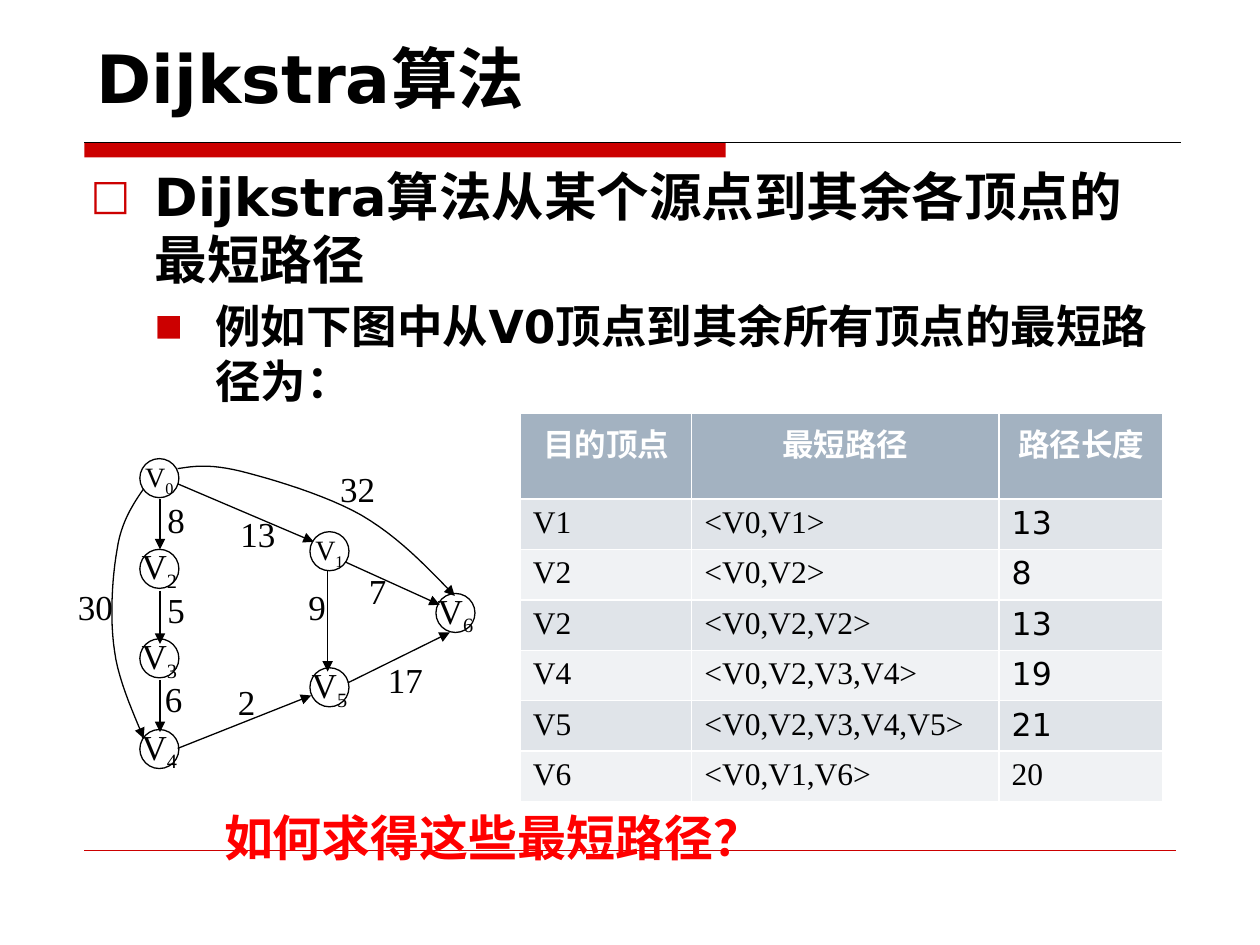
from dataclasses import dataclass, field

from lxml import etree
from pptx import Presentation
from pptx import util as u
from pptx.dml.color import RGBColor
from pptx.enum import shapes, text
from pptx.oxml import ns

COLORS = {
    "ink": "000000",
    "accent": "CC0000",
    "question": "FF0000",
    "white": "FFFFFF",
    "header": "A3B2C1",
    "odd": "E0E4E9",
    "even": "F0F2F4",
}
SANS, SERIF = "DejaVu Sans", "Times New Roman"
COLUMNS, ROWS = 100, 75


def color(name):
    return RGBColor.from_string(COLORS[name])


def add_element(parent, tag, **attributes):
    return etree.SubElement(parent, ns.qn(tag), attributes)


def bezier(start, *controls, steps=12):
    points = [start]
    for first in range(0, len(controls), 3):
        corners = (points[-1], *controls[first:first + 3])
        for step in range(1, steps + 1):
            t = step / steps
            weights = ((1 - t) ** 3, 3 * t * (1 - t) ** 2, 3 * t * t * (1 - t), t ** 3)
            points.append(tuple(sum(w * corner[axis] for w, corner in zip(weights, corners))
                                for axis in (0, 1)))
    return points


@dataclass
class SlideBuilder:
    presentation: object = field(default_factory=Presentation)
    slide: object = None

    def start(self):
        self.presentation.slide_width = u.Inches(10)
        self.presentation.slide_height = u.Inches(7.5)
        self.slide = self.presentation.slides.add_slide(self.presentation.slide_layouts[6])

    def x(self, columns):
        return round(self.presentation.slide_width * columns / COLUMNS)

    def y(self, rows):
        return round(self.presentation.slide_height * rows / ROWS)

    def box(self, left, top, width, height):
        return self.x(left), self.y(top), self.x(width), self.y(height)

    def style(self, paragraph, size, name=SANS, ink="ink", bold=False):
        font = paragraph.font
        font.size, font.name, font.bold = u.Pt(size), name, bold
        font.color.rgb = color(ink)

    def text_box(self, area, words, size, wrap=True, anchor=text.MSO_ANCHOR.TOP, **style):
        frame = self.slide.shapes.add_textbox(*self.box(*area)).text_frame
        frame.word_wrap, frame.vertical_anchor = wrap, anchor
        frame.text = words
        self.style(frame.paragraphs[0], size, **style)
        return frame

    def bullet(self, paragraph, mark, size, scale, margin, hang):
        properties = paragraph._p.get_or_add_pPr()
        properties.set("marL", str(self.x(margin)))
        properties.set("indent", str(-self.x(hang)))
        tint = add_element(properties, "a:buClr")
        add_element(tint, "a:srgbClr", val=COLORS["accent"])
        add_element(properties, "a:buSzPct", val=str(scale * 1000))
        add_element(properties, "a:buFont", typeface=SANS)
        add_element(properties, "a:buChar", char=mark)
        self.style(paragraph, size, bold=True)

    def arrowhead(self, line):
        add_element(line._get_or_add_ln(), "a:tailEnd", type="triangle")

    def line(self, start, end, ink="ink", width=0.75, arrow=False):
        connector = self.slide.shapes.add_connector(
            shapes.MSO_CONNECTOR.STRAIGHT,
            self.x(start[0]), self.y(start[1]), self.x(end[0]), self.y(end[1]))
        connector.line.color.rgb = color(ink)
        connector.line.width = u.Pt(width)
        if arrow:
            self.arrowhead(connector.line)
        add_element(connector._element.spPr, "a:effectLst")

    def curve(self, points):
        (left, top), *rest = [(self.x(x), self.y(y)) for x, y in points]
        builder = self.slide.shapes.build_freeform(left, top)
        builder.add_line_segments(rest, close=False)
        shape = builder.convert_to_shape()
        shape.shadow.inherit = False
        shape.fill.background()
        shape.line.color.rgb = color("ink")
        shape.line.width = u.Pt(0.75)
        self.arrowhead(shape.line)

    def bar(self, area):
        shape = self.slide.shapes.add_shape(shapes.MSO_SHAPE.RECTANGLE, *self.box(*area))
        shape.shadow.inherit = False
        shape.fill.solid()
        shape.fill.fore_color.rgb = color("accent")
        shape.line.fill.background()

    def vertex(self, left, top, index, size):
        shape = self.slide.shapes.add_shape(shapes.MSO_SHAPE.OVAL, *self.box(left, top, 3.1, 3.1))
        shape.shadow.inherit = False
        shape.fill.background()
        shape.line.color.rgb = color("ink")
        shape.line.width = u.Pt(0.75)
        frame = shape.text_frame
        frame.word_wrap, frame.vertical_anchor = False, text.MSO_ANCHOR.MIDDLE
        paragraph = frame.paragraphs[0]
        paragraph.alignment = text.PP_ALIGN.CENTER
        paragraph.add_run().text = "V"
        subscript = paragraph.add_run()
        subscript.text = str(index)
        subscript.font._element.set("baseline", "-25000")
        self.style(paragraph, size, SERIF)

    def table(self, area, widths, heights, records):
        table = self.slide.shapes.add_table(len(records), len(widths), *self.box(*area)).table
        for column, width in zip(table.columns, widths):
            column.width = self.x(width)
        for number, (row, height, record) in enumerate(zip(table.rows, heights, records)):
            row.height = self.y(height)
            header = number == 0
            fill = "header" if header else ("even", "odd")[number % 2]
            for cell, words in zip(row.cells, record):
                cell.text = words
                cell.fill.solid()
                cell.fill.fore_color.rgb = color(fill)
                paragraph = cell.text_frame.paragraphs[0]
                if header:
                    paragraph.alignment = text.PP_ALIGN.CENTER
                sans = header or (words.isdigit() and number < len(records) - 1)
                self.style(paragraph, 18, SANS if sans else SERIF,
                           "white" if header else "ink", header)


VERTICES = [(11.1, 36.4, 16), (24.6, 42.2, 16), (11.1, 43.6, 20), (11.1, 50.7, 20),
            (11.1, 57.9, 20), (24.6, 53, 20), (34.6, 47.1, 20)]
EDGES = [
    ((12.7, 39.6), (12.7, 43.6)), ((12.7, 46.9), (12.7, 51.1)), ((12.7, 54), (12.7, 58.1)),
    ((14.1, 38.4), (24.9, 43)), ((27.4, 44.6), (34.9, 48)), ((14.1, 59.4), (24.7, 55.2)),
    ((27.6, 54.2), (35.7, 50.2)), ((26, 45.3), (26, 53.3)),
]
CURVES = [
    ((11.4, 38.8), (10.5, 40.1), (9.6, 41.5), (9.3, 43.6), (8.9, 45.8), (8.7, 49.2),
     (9.1, 51.7), (9.4, 54.2), (11, 57.5), (11.4, 58.6)),
    ((14.1, 37.2), (15.4, 37), (16.6, 36.8), (19.1, 37.4), (21.5, 38), (25.9, 39.3),
     (28.7, 40.9), (31.6, 42.6), (33.8, 44.9), (36.1, 47.3)),
]
WEIGHTS = [("8", 12.3, 39.1), ("5", 12.3, 46.2), ("6", 12.1, 53.3), ("2", 17.9, 53.5),
           ("30", 5.2, 46), ("13", 18.1, 40.2), ("7", 28.3, 44.7), ("17", 29.8, 51.8),
           ("32", 26, 36.6), ("9", 23.5, 46)]
PATHS = [
    ("目的顶点", "最短路径", "路径长度"),
    ("V1", "<V0,V1>", "13"),
    ("V2", "<V0,V2>", "8"),
    ("V2", "<V0,V2,V2>", "13"),
    ("V4", "<V0,V2,V3,V4>", "19"),
    ("V5", "<V0,V2,V3,V4,V5>", "21"),
    ("V6", "<V0,V1,V6>", "20"),
]


def main():
    builder = SlideBuilder()
    builder.start()
    builder.bar((6.7, 11.3, 50.9, 1.2))
    builder.line((6.7, 11.3), (93.7, 11.3))
    builder.line((6.7, 67.5), (93.3, 67.5), "accent", 0.25)
    builder.text_box((6.7, 1.2, 65.6, 8.6), "Dijkstra算法", 38,
                     anchor=text.MSO_ANCHOR.BOTTOM, bold=True)

    body = builder.text_box((6.2, 12.5, 87.5, 53.4),
                            "Dijkstra算法从某个源点到其余各顶点的最短路径", 30, bold=True)
    example = body.add_paragraph()
    example.text = "例如下图中从V0顶点到其余所有顶点的最短路径为："
    example.level = 1
    example.space_before = u.Pt(5)
    builder.bullet(body.paragraphs[0], "□", 30, 80, 5.1, 5.1)
    builder.bullet(example, "■", 26, 65, 9.9, 4.8)

    for index, (left, top, size) in enumerate(VERTICES):
        builder.vertex(left, top, index, size)
    for start, end in EDGES:
        builder.line(start, end, arrow=True)
    for controls in CURVES:
        builder.curve(bezier(*controls))
    for words, left, top in WEIGHTS:
        width = 2 + 1.4 * len(words)
        builder.text_box((left, top, width, 4.3), words, 20, wrap=False, name=SERIF)

    builder.table((41.3, 32.8, 51, 30.8), (13.6, 24.4, 13), (6.8, *[4] * 6), PATHS)
    builder.text_box((16.8, 63.6, 67.7, 5.7), "如何求得这些最短路径？", 28,
                     ink="question", bold=True)
    builder.presentation.save("out.pptx")


if __name__ == "__main__":
    main()
